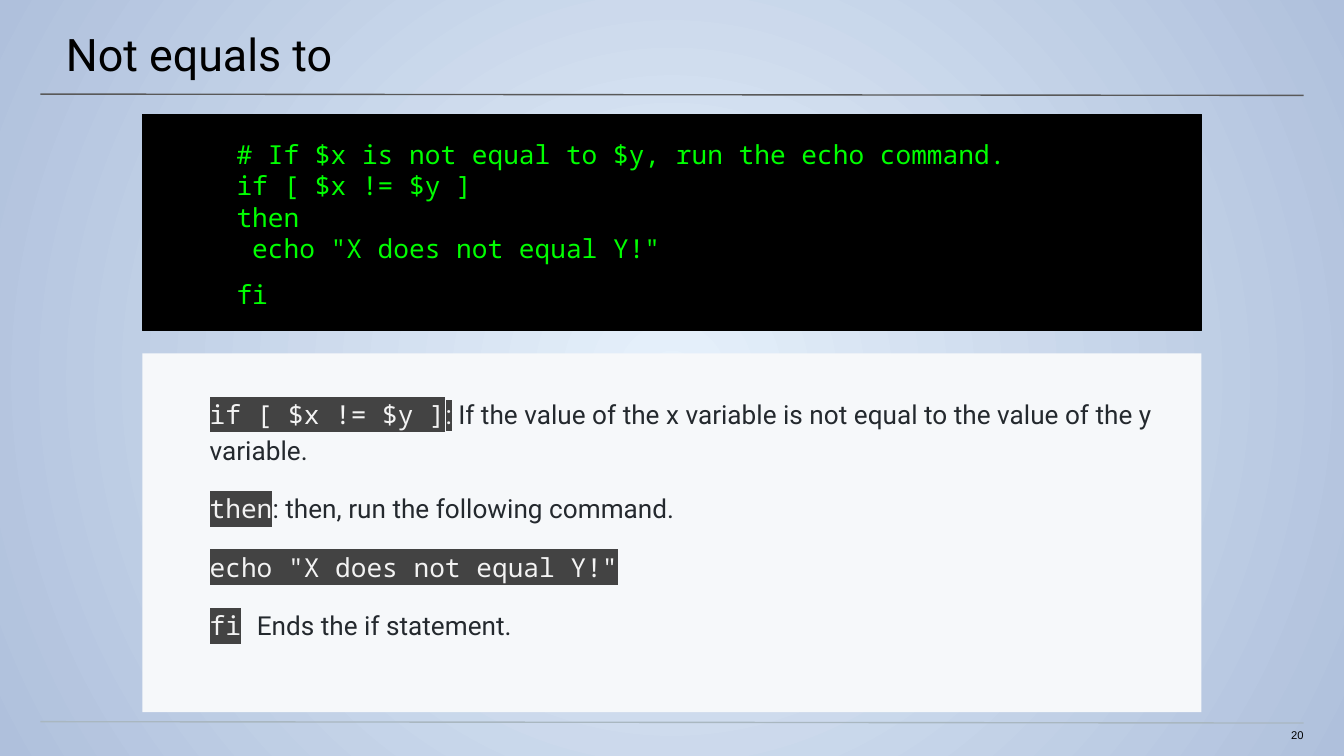
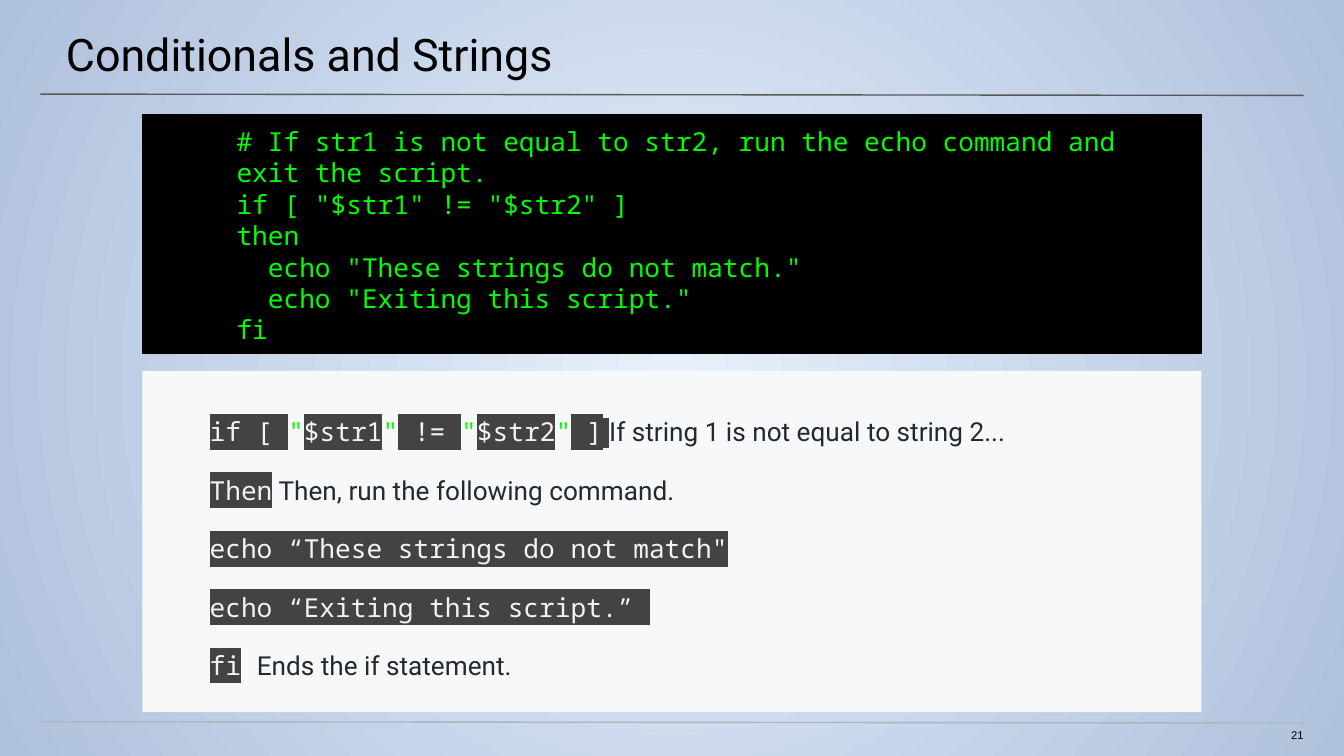
from dataclasses import dataclass
from typing import Any, NamedTuple, Optional

from lxml import etree
from pptx import Presentation
from pptx.dml.color import RGBColor
from pptx.enum.shapes import MSO_CONNECTOR, MSO_SHAPE
from pptx.enum.text import MSO_ANCHOR, MSO_AUTO_SIZE, PP_ALIGN
from pptx.oxml.ns import qn
from pptx.util import Emu, Pt

RECTANGLE = MSO_SHAPE.RECTANGLE
STRAIGHT = MSO_CONNECTOR.STRAIGHT
TOP, MIDDLE = MSO_ANCHOR.TOP, MSO_ANCHOR.MIDDLE
LEFT, RIGHT = PP_ALIGN.LEFT, PP_ALIGN.RIGHT
NO_AUTOFIT = MSO_AUTO_SIZE.NONE
TITLE_ONLY = 5
EMU_PER_PX = 4572


class TextStyle(NamedTuple):
    font: str
    size: int
    color: str
    highlight: Optional[str] = None


@dataclass(frozen=True)
class Theme:
    glow: str = "E6F1FB"
    edge: str = "AFC0DC"
    title_rule: str = "595959"
    footer_rule: str = "A9B7C0"
    terminal: str = "000000"
    panel: str = "F6F8FA"
    rule_width: float = 0.75
    paragraph_gap: int = 12
    panel_spacing: float = 1.15
    title: TextStyle = TextStyle("Roboto", 24, "000000")
    number: TextStyle = TextStyle("Arial", 6, "000000")
    code: TextStyle = TextStyle("Noto Sans Mono", 14, "00FF00")
    prose: TextStyle = TextStyle("Roboto", 14, "24292E")
    chip: TextStyle = TextStyle("Noto Sans Mono", 14, "F3F3F3", "434343")
    chip_end: TextStyle = TextStyle("Roboto", 14, "F3F3F3", "434343")


THEME = Theme()


class Box(NamedTuple):
    left: int
    top: int
    width: int
    height: int


class Insets(NamedTuple):
    left: int
    top: int
    right: int
    bottom: int


class Rule(NamedTuple):
    top: int
    color: str


class Span(NamedTuple):
    text: str
    style: TextStyle


class Line(NamedTuple):
    spans: list[Span]
    spacing: float = 1.0
    gap: int = 0
    alignment: Any = LEFT


@dataclass(frozen=True)
class Lesson:
    title: str
    number: int
    code: list[Line]
    code_height: int
    explanation: list[list[Span]]
    explanation_top: int


SLIDE_WIDTH, SLIDE_HEIGHT = 2000, 1125
RULE_LEFT, RULE_RIGHT, RULE_DROP = 60, 1940, 2
PANEL_LEFT, PANEL_WIDTH = 212, 1576
CODE_TOP, EXPLANATION_BOTTOM = 170, 1060
TITLE_BOX = Box(-2, 0, 2006, 116)
NUMBER_BOX = Box(1882, 1084, 58, 24)
TITLE_INSETS = Insets(100, 40, 60, 20)
NUMBER_INSETS = Insets(0, 0, 0, 20)
CODE_INSETS = Insets(140, 4, 20, 0)
EXPLANATION_INSETS = Insets(100, 60, 20, 20)
RULES = [Rule(140, THEME.title_rule), Rule(1074, THEME.footer_rule)]


def px(value: int) -> Emu:
    return Emu(value * EMU_PER_PX)


def rgb(value: str) -> RGBColor:
    return RGBColor.from_string(value)


def apply_formats(target: Any, formats: dict[str, Any]) -> None:
    for name, value in formats.items():
        setattr(target, name, value)


def code_line(text: str, spacing: float = 1.0) -> Line:
    return Line([Span(text, THEME.code)], spacing)


def chip(text: str) -> Span:
    return Span(text, THEME.chip)


def prose(text: str) -> Span:
    return Span(text, THEME.prose)


QUOTE = Span('"', THEME.code)
ENDING = [
    chip("fi"),
    Span(" ", THEME.chip._replace(highlight=None)),
    prose("Ends the if statement."),
]

LESSONS = [
    Lesson(
        title="Not equals to",
        number=20,
        code=[
            code_line("# If $x is not equal to $y, run the echo command."),
            code_line("if [ $x != $y ]"),
            code_line("then"),
            code_line(' echo "X does not equal Y!"'),
            code_line("fi", 1.45),
        ],
        code_height=322,
        explanation=[
            [
                chip("if [ $x != $y ]"),
                Span(":", THEME.chip_end),
                prose(" If the value of the x variable is not equal to the value of the y variable."),
            ],
            [chip("then"), prose(": then, run the following command.")],
            [chip('echo "X does not equal Y!"')],
            ENDING,
        ],
        explanation_top=526,
    ),
    Lesson(
        title="Conditionals and Strings",
        number=21,
        code=[
            code_line("# If str1 is not equal to str2, run the echo command and exit the script."),
            code_line('if [ "$str1" != "$str2" ]'),
            code_line("then"),
            code_line('  echo "These strings do not match."'),
            code_line('  echo "Exiting this script."'),
            code_line("fi"),
        ],
        code_height=356,
        explanation=[
            [
                chip("if [ "), QUOTE, chip("$str1"), QUOTE, chip(" != "),
                QUOTE, chip("$str2"), QUOTE, chip(" ]"),
                Span(" ", THEME.chip_end),
                prose("If string 1 is not equal to string 2..."),
            ],
            [chip("Then"), prose(" Then, run the following command.")],
            [chip('echo “These strings do not match"')],
            [chip("echo “Exiting this script.” ")],
            ENDING,
        ],
        explanation_top=552,
    ),
]


def write_span(paragraph: Any, span: Span) -> None:
    run = paragraph.add_run()
    run.text = span.text
    style = span.style
    apply_formats(run.font, {"name": style.font, "size": Pt(style.size)})
    run.font.color.rgb = rgb(style.color)
    if style.highlight:
        highlight = etree.Element(qn("a:highlight"))
        etree.SubElement(highlight, qn("a:srgbClr"), val=style.highlight)
        run.font._element.find(qn("a:latin")).addprevious(highlight)


def write_text(shape: Any, lines: list[Line], insets: Insets, anchor: Any = TOP) -> None:
    frame = shape.text_frame
    apply_formats(frame, {
        "word_wrap": True,
        "auto_size": NO_AUTOFIT,
        "vertical_anchor": anchor,
        "margin_left": px(insets.left),
        "margin_top": px(insets.top),
        "margin_right": px(insets.right),
        "margin_bottom": px(insets.bottom),
    })
    for index, line in enumerate(lines):
        paragraph = frame.add_paragraph() if index else frame.paragraphs[0]
        apply_formats(paragraph, {
            "alignment": line.alignment,
            "line_spacing": line.spacing,
            "space_before": Pt(line.gap if index else 0),
        })
        for span in line.spans:
            write_span(paragraph, span)


def add_panel(slide: Any, box: Box, fill: str, outline: Optional[str] = None) -> Any:
    shape = slide.shapes.add_shape(RECTANGLE, *map(px, box))
    shape.shadow.inherit = False
    shape.fill.solid()
    shape.fill.fore_color.rgb = rgb(fill)
    if outline:
        shape.line.color.rgb = rgb(outline)
        shape.line.width = Pt(THEME.rule_width)
    else:
        shape.line.fill.background()
    return shape


def add_rule(slide: Any, rule: Rule) -> None:
    ends = (RULE_LEFT, rule.top, RULE_RIGHT, rule.top + RULE_DROP)
    connector = slide.shapes.add_connector(STRAIGHT, *map(px, ends))
    connector.line.color.rgb = rgb(rule.color)
    connector.line.width = Pt(THEME.rule_width)
    etree.SubElement(connector._element.spPr, qn("a:effectLst"))


def paint_background(master: Any) -> None:
    fill = master.background.fill
    fill.gradient()
    for stop, color in zip(fill.gradient_stops, (THEME.glow, THEME.edge)):
        stop.color.rgb = rgb(color)
    gradient = master.element.cSld.find(".//" + qn("a:gradFill"))
    gradient.remove(gradient.find(qn("a:lin")))
    circle = etree.SubElement(gradient, qn("a:path"), {"path": "circle"})
    center = dict.fromkeys(("l", "t", "r", "b"), "50000")
    etree.SubElement(circle, qn("a:fillToRect"), center)


def add_lesson(presentation: Any, lesson: Lesson) -> None:
    slide = presentation.slides.add_slide(presentation.slide_layouts[TITLE_ONLY])
    title = slide.shapes.title
    apply_formats(title, dict(zip(Box._fields, map(px, TITLE_BOX))))
    write_text(title, [Line([Span(lesson.title, THEME.title)])], TITLE_INSETS)
    for rule in RULES:
        add_rule(slide, rule)

    code_box = Box(PANEL_LEFT, CODE_TOP, PANEL_WIDTH, lesson.code_height)
    code_panel = add_panel(slide, code_box, THEME.terminal, THEME.terminal)
    write_text(code_panel, lesson.code, CODE_INSETS, MIDDLE)

    number = slide.shapes.add_textbox(*map(px, NUMBER_BOX))
    number_span = Span(str(lesson.number), THEME.number)
    write_text(number, [Line([number_span], alignment=RIGHT)], NUMBER_INSETS)

    top = lesson.explanation_top
    explanation_box = Box(PANEL_LEFT, top, PANEL_WIDTH, EXPLANATION_BOTTOM - top)
    explanation_panel = add_panel(slide, explanation_box, THEME.panel)
    lines = [Line(spans, THEME.panel_spacing, THEME.paragraph_gap) for spans in lesson.explanation]
    write_text(explanation_panel, lines, EXPLANATION_INSETS)


def main() -> None:
    presentation = Presentation()
    presentation.slide_width = px(SLIDE_WIDTH)
    presentation.slide_height = px(SLIDE_HEIGHT)
    paint_background(presentation.slide_master)
    for lesson in LESSONS:
        add_lesson(presentation, lesson)
    presentation.save("out.pptx")


if __name__ == "__main__":
    main()
